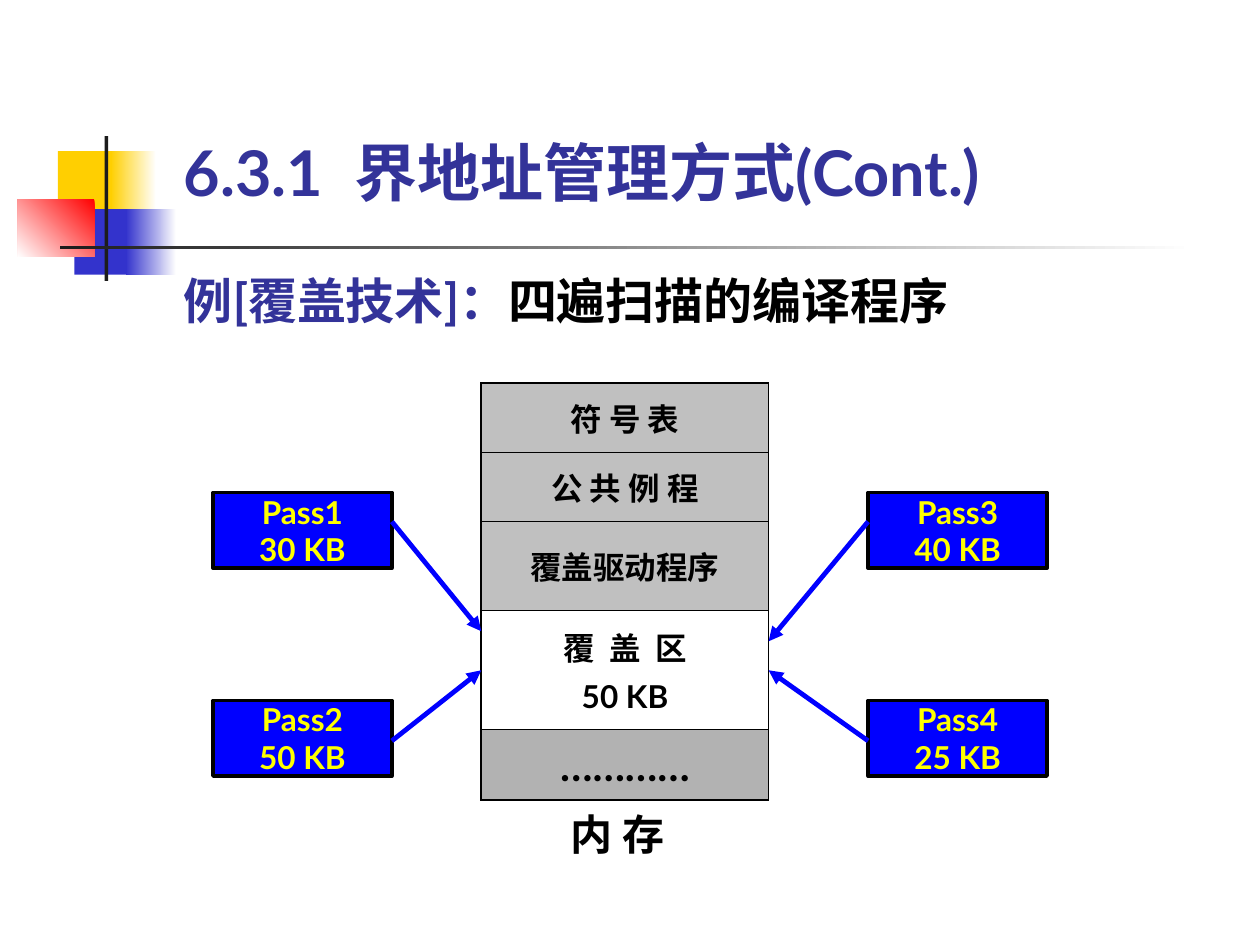
from dataclasses import dataclass
from itertools import accumulate

from lxml.etree import SubElement
from pptx import Presentation
from pptx.dml.color import RGBColor
from pptx.enum.shapes import MSO_CONNECTOR, MSO_SHAPE
from pptx.enum.text import MSO_ANCHOR, MSO_AUTO_SIZE, PP_ALIGN
from pptx.oxml import parse_xml
from pptx.oxml.ns import nsdecls, qn
from pptx.util import Inches, Pt


@dataclass(frozen=True)
class Theme:
    """Colours, font and type sizes of the slide."""
    font: str = "Lato"
    heading: str = "333399"
    ink: str = "000000"
    paper: str = "FFFFFF"
    gold: str = "FFCF01"
    indigo: str = "3333CC"
    red: str = "FF0000"
    rule: str = "1C1C1C"
    blue: str = "0000FF"
    yellow: str = "FFFF00"
    resident: str = "C0C0C0"
    rest: str = "B2B2B2"
    title: int = 36
    lead: int = 28
    caption: int = 24
    body: int = 18


def assign(target, values):
    """Set each named attribute of the target."""
    for name, value in values.items():
        setattr(target, name, value)


class Canvas:
    """Draws on one slide with a grid of 100 columns by 75 rows."""

    def __init__(self, slide, theme, unit):
        self.slide, self.theme, self.unit = slide, theme, unit

    def grid(self, *lengths):
        """Turn grid lengths into slide lengths."""
        return [round(length * self.unit) for length in lengths]

    def typeset(self, frame, paragraphs, size, frame_format=None, **paragraph_format):
        """Fill a frame with paragraphs of (text, colour) runs."""
        margins = dict.fromkeys(("margin_left", "margin_top", "margin_right", "margin_bottom"), 0)
        assign(frame, margins | {"word_wrap": True} | (frame_format or {}))
        for index, runs in enumerate(paragraphs):
            paragraph = frame.add_paragraph() if index else frame.paragraphs[0]
            gap = {} if index else {"space_before": Pt(0)}
            assign(paragraph, paragraph_format | gap)
            for text, colour in runs:
                run = paragraph.add_run()
                run.text = text
                assign(run.font, {"name": self.theme.font, "size": Pt(size), "bold": True})
                run.font.color.rgb = RGBColor.from_string(colour)

    def title(self, box, text):
        """Place and format the title placeholder."""
        heading = self.slide.shapes.title
        assign(heading, dict(zip(("left", "top", "width", "height"), self.grid(*box))))
        self.typeset(heading.text_frame, [[(text, self.theme.heading)]], self.theme.title,
                     {"vertical_anchor": MSO_ANCHOR.BOTTOM, "auto_size": MSO_AUTO_SIZE.NONE},
                     alignment=PP_ALIGN.LEFT, line_spacing=0.8)

    def text(self, box, runs, size, **paragraph_format):
        """Add a text box with one paragraph."""
        label = self.slide.shapes.add_textbox(*self.grid(*box))
        self.typeset(label.text_frame, [runs], size, **paragraph_format)

    def block(self, box, *colours, angle=180):
        """Add a borderless rectangle in one colour or a two-colour blend."""
        shape = self.slide.shapes.add_shape(MSO_SHAPE.RECTANGLE, *self.grid(*box))
        shape.shadow.inherit = False
        shape.line.fill.background()
        if len(colours) == 1:
            shape.fill.solid()
            shape.fill.fore_color.rgb = RGBColor.from_string(colours[0])
        else:
            shape.fill.gradient()
            shape.fill.gradient_angle = angle
            for stop, colour in zip(shape.fill.gradient_stops, colours):
                stop.color.rgb = RGBColor.from_string(colour)
        return shape

    def pass_box(self, box, lines):
        """Add a framed box naming a compiler pass and its size."""
        shape = self.block(box, self.theme.blue)
        shape.line.color.rgb = RGBColor.from_string(self.theme.ink)
        shape.line.width = Pt(2)
        self.typeset(shape.text_frame, [[(line, self.theme.yellow)] for line in lines],
                     self.theme.body, {"vertical_anchor": MSO_ANCHOR.TOP},
                     alignment=PP_ALIGN.CENTER)

    def arrow(self, start, end):
        """Add a straight line with a triangle at its end."""
        line = self.slide.shapes.add_connector(MSO_CONNECTOR.STRAIGHT, *self.grid(*start, *end))
        line.line.color.rgb = RGBColor.from_string(self.theme.blue)
        line.line.width = Pt(2.75)
        properties = line._element.spPr
        SubElement(properties.find(qn("a:ln")), qn("a:tailEnd"), type="triangle")
        SubElement(properties, qn("a:effectLst"))

    def border(self, cell, widths):
        """Draw the cell's edges with the given widths in points."""
        properties = cell._tc.get_or_add_tcPr()
        for index, (edge, width) in enumerate(widths.items()):
            properties.insert(index, parse_xml(
                f'<a:ln{edge} {nsdecls("a")} w="{Pt(width)}"><a:solidFill>'
                f'<a:srgbClr val="{self.theme.ink}"/></a:solidFill></a:ln{edge}>'))

    def memory(self, corner, width, sections):
        """Add the one-column memory map and return its row edges."""
        heights = [height for height, *_ in sections]
        frame = self.slide.shapes.add_table(
            len(sections), 1, *self.grid(*corner, width, sum(heights)))
        table, last = frame.table, len(sections) - 1
        assign(table, {"first_row": False, "horz_banding": False})
        for index, (height, lines, fill, size) in enumerate(sections):
            table.rows[index].height = self.grid(height)[0]
            cell = table.cell(index, 0)
            cell.fill.solid()
            cell.fill.fore_color.rgb = RGBColor.from_string(fill)
            self.border(cell, {"L": 1.08, "R": 1.08, "T": 0.45 if index else 1.08,
                               "B": 1.08 if index == last else 0.45})
            assign(cell, {"vertical_anchor": MSO_ANCHOR.MIDDLE,
                          "margin_top": Inches(0.05), "margin_bottom": Inches(0.05)})
            self.typeset(cell.text_frame, [[(line, self.theme.ink)] for line in lines], size,
                         alignment=PP_ALIGN.CENTER, space_before=Pt(4.5))
        return [corner[1] + offset for offset in accumulate(heights, initial=0)]


def main():
    """Build the slide on overlay memory management."""
    deck = Presentation()
    assign(deck, {"slide_width": Inches(10), "slide_height": Inches(7.5)})
    theme = Theme()
    canvas = Canvas(deck.slides.add_slide(deck.slide_layouts[5]), theme, deck.slide_width / 100)

    canvas.block((4.6, 12, 4.8, 5.2), theme.gold)
    canvas.block((8.8, 12, 3.6, 5.2), theme.paper, theme.gold)
    canvas.block((5.9, 16.6, 4.6, 5.2), theme.indigo)
    canvas.block((10, 16.6, 4, 5.2), theme.paper, theme.indigo)
    canvas.block((1.4, 15.8, 6.1, 4.6), theme.red, theme.paper, angle=225)
    canvas.block((8.3, 10.8, 0.3, 11.5), theme.rule)
    canvas.block((4.8, 19.5, 90, 0.3), theme.paper, theme.rule)

    canvas.title((14.6, 11.8, 70.1, 4.8), "6.3.1  界地址管理方式(Cont.)")
    canvas.text((14.6, 21, 63, 10.3),
                [("例[覆盖技术]：", theme.heading), ("四遍扫描的编译程序", theme.ink)],
                theme.lead, line_spacing=1.1)

    memory_left, memory_width = 38.2, 22.8
    edges = canvas.memory((memory_left, 30.4), memory_width, [
        (5.5, ["符 号 表"], theme.resident, theme.body),
        (5.5, ["公 共 例 程"], theme.resident, theme.body),
        (7, ["覆盖驱动程序"], theme.resident, theme.body),
        (9.5, ["覆  盖  区", "50 KB"], theme.paper, theme.body),
        (5.6, ["…………"], theme.rest, theme.caption),
    ])
    canvas.text((45.3, edges[-1] + 0.7, 9.4, 4), [("内 存", theme.ink)], theme.caption)

    box_width, box_height = 14.2, 6
    left, right, upper, lower = 16.9, 68.9, 39.1, 55.6
    left_ends = left + box_width, memory_left
    right_ends = right, memory_left + memory_width
    for column, row, lines, (start, end), exit_row, entry_row in [
        (left, upper, ("Pass1", "30 KB"), left_ends, 41.4, 50.1),
        (left, lower, ("Pass2", "50 KB"), left_ends, 58.8, 53.2),
        (right, upper, ("Pass3", "40 KB"), right_ends, 41.4, 50.9),
        (right, lower, ("Pass4", "25 KB"), right_ends, 58.8, 53.2),
    ]:
        canvas.pass_box((column, row, box_width, box_height), lines)
        canvas.arrow((start, exit_row), (end, entry_row))

    deck.save("out.pptx")


if __name__ == "__main__":
    main()
